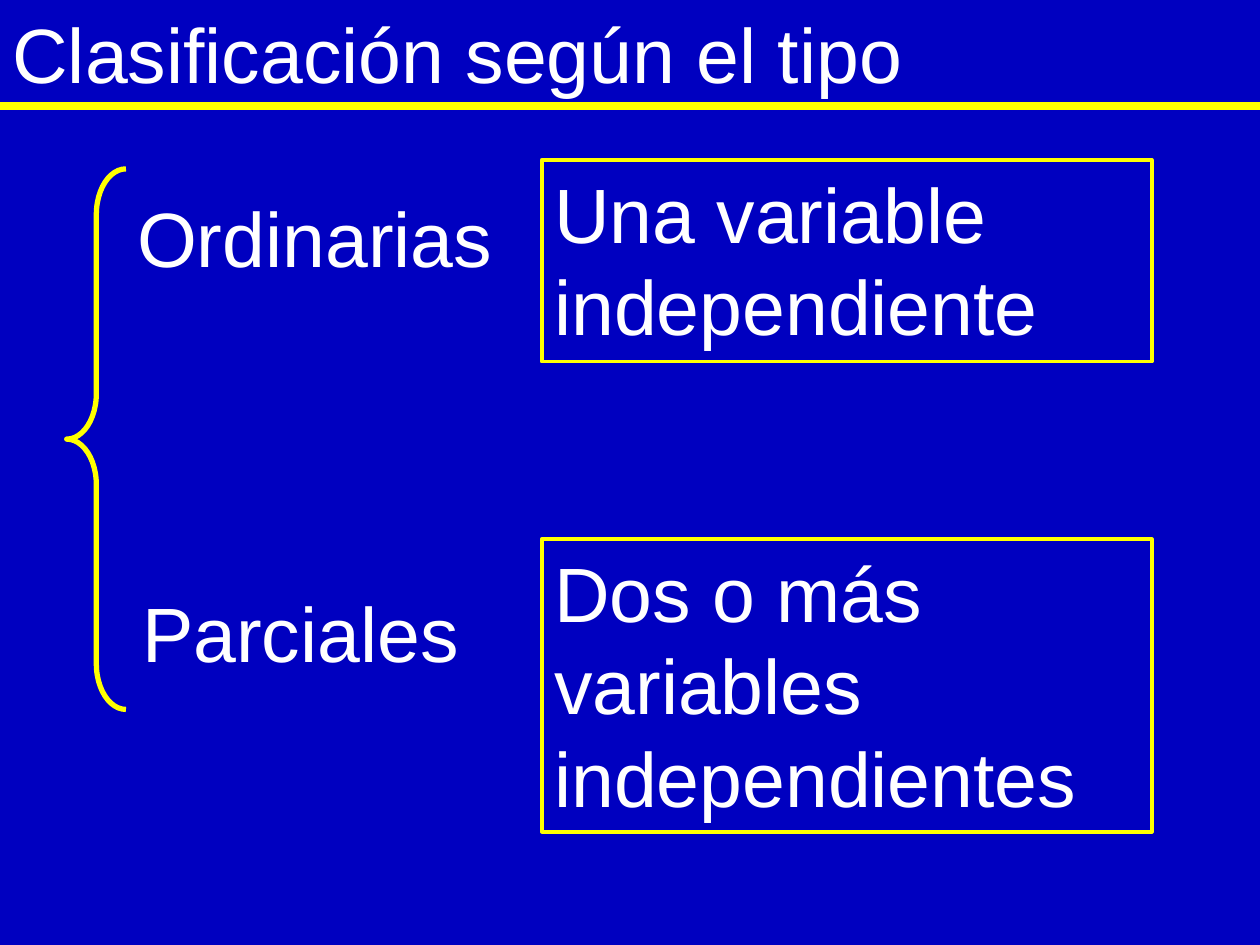
from dataclasses import dataclass

from lxml.etree import SubElement
from pptx import Presentation
from pptx.dml.color import RGBColor
from pptx.enum.shapes import MSO_CONNECTOR, MSO_SHAPE
from pptx.enum.text import MSO_ANCHOR, PP_ALIGN
from pptx.oxml.ns import qn
from pptx.shapes.autoshape import Shape
from pptx.shapes.shapetree import GroupShapes, SlideShapes
from pptx.util import Inches, Pt

BLUE = RGBColor(0x00, 0x00, 0xC0)
YELLOW = RGBColor(0xFF, 0xFF, 0x00)
WHITE = RGBColor(0xFF, 0xFF, 0xFF)
FONT = "Arial"
FONT_SIZE = Pt(44)
LINE_PITCH = Pt(52.8)
SLIDE_WIDTH = 10
RULE_TOP = 0.84
BOX_LEFT = 4.3
BOX_WIDTH = 4.84


@dataclass(frozen=True)
class Block:
    text: str
    left: float
    top: float
    width: float
    height: float


TITLE = Block("Clasificación según el tipo", 0, 0, 8.5, RULE_TOP)
TYPES = (
    Block("Ordinarias", 0.99, 1.46, 3.24, 0.83),
    Block("Parciales", 1.03, 4.6, 3.12, 0.83),
)
DEFINITIONS = (
    Block("Una variable independiente", BOX_LEFT, 1.27, BOX_WIDTH, 1.6),
    Block("Dos o más variables independientes", BOX_LEFT, 4.28, BOX_WIDTH, 2.32),
)


def write_text(shape: Shape, text: str, anchor: MSO_ANCHOR) -> None:
    frame = shape.text_frame
    frame.word_wrap = True
    frame.vertical_anchor = anchor
    paragraph = frame.paragraphs[0]
    paragraph.alignment = PP_ALIGN.LEFT
    paragraph.line_spacing = LINE_PITCH
    run = paragraph.add_run()
    run.text = text
    run.font.name = FONT
    run.font.size = FONT_SIZE
    run.font.color.rgb = WHITE


def add_label(
    shapes: SlideShapes | GroupShapes, block: Block, anchor: MSO_ANCHOR = MSO_ANCHOR.TOP
) -> None:
    label = shapes.add_textbox(
        Inches(block.left), Inches(block.top), Inches(block.width), Inches(block.height)
    )
    write_text(label, block.text, anchor)


def add_outline(
    shapes: SlideShapes | GroupShapes, kind: MSO_SHAPE, block: Block, weight: float
) -> Shape:
    shape = shapes.add_shape(
        kind,
        Inches(block.left), Inches(block.top), Inches(block.width), Inches(block.height),
    )
    shape.shadow.inherit = False
    shape.fill.background()
    shape.line.color.rgb = YELLOW
    shape.line.width = Pt(weight)
    return shape


def add_rule(shapes: SlideShapes) -> None:
    rule = shapes.add_connector(
        MSO_CONNECTOR.STRAIGHT,
        Inches(0), Inches(RULE_TOP), Inches(SLIDE_WIDTH), Inches(RULE_TOP),
    )
    rule.line.color.rgb = YELLOW
    rule.line.width = Pt(4.5)
    SubElement(rule._element.spPr, qn("a:effectLst"))


def main() -> None:
    presentation = Presentation()
    presentation.slide_width = Inches(SLIDE_WIDTH)
    presentation.slide_height = Inches(7.5)
    slide = presentation.slides.add_slide(presentation.slide_layouts[6])
    slide.background.fill.solid()
    slide.background.fill.fore_color.rgb = BLUE

    add_label(slide.shapes, TITLE, MSO_ANCHOR.MIDDLE)
    add_rule(slide.shapes)

    classification = slide.shapes.add_group_shape()
    for block in TYPES:
        add_label(classification.shapes, block)
    brace = add_outline(
        classification.shapes, MSO_SHAPE.LEFT_BRACE, Block("", 0.53, 1.34, 0.47, 4.29), 3
    )
    brace.adjustments[0] = 0.77

    for block in DEFINITIONS:
        box = add_outline(slide.shapes, MSO_SHAPE.RECTANGLE, block, 2.25)
        write_text(box, block.text, MSO_ANCHOR.TOP)

    presentation.save("out.pptx")


if __name__ == "__main__":
    main()
